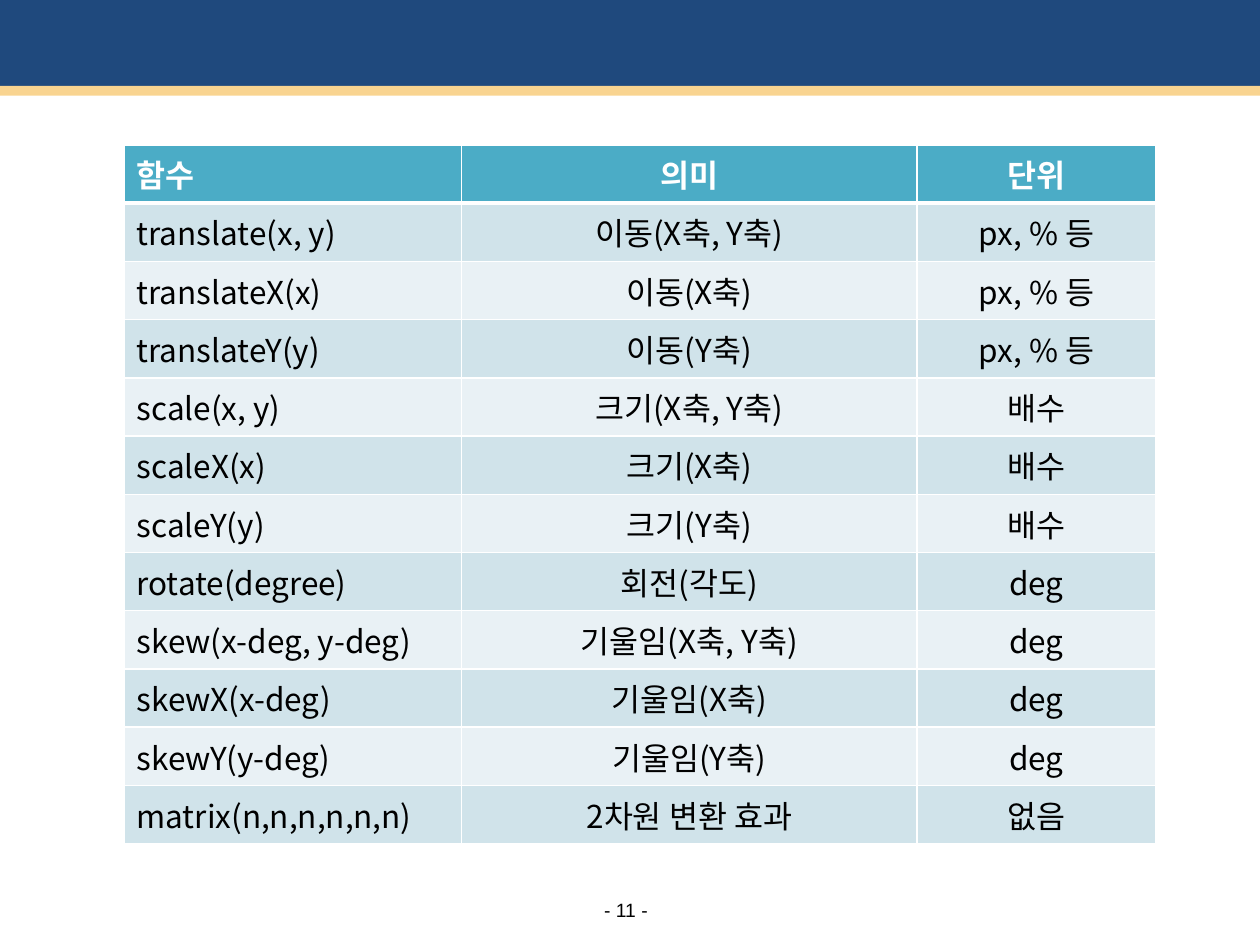
from lxml import etree
from pptx import Presentation
from pptx.dml.color import RGBColor
from pptx.enum.shapes import MSO_SHAPE
from pptx.enum.text import MSO_ANCHOR, PP_ALIGN
from pptx.oxml.ns import qn
from pptx.util import Cm, Pt

LEFT, CENTER = PP_ALIGN.LEFT, PP_ALIGN.CENTER
MIDDLE = MSO_ANCHOR.MIDDLE
RECTANGLE = MSO_SHAPE.RECTANGLE

# Content
PAGE = "- 11 -"
HEADER = ("함수", "의미", "단위")
FUNCTIONS = [
    ("translate(x, y)", "이동(X축, Y축)", "px, % 등"),
    ("translateX(x)", "이동(X축)", "px, % 등"),
    ("translateY(y)", "이동(Y축)", "px, % 등"),
    ("scale(x, y)", "크기(X축, Y축)", "배수"),
    ("scaleX(x)", "크기(X축)", "배수"),
    ("scaleY(y)", "크기(Y축)", "배수"),
    ("rotate(degree)", "회전(각도)", "deg"),
    ("skew(x-deg, y-deg)", "기울임(X축, Y축)", "deg"),
    ("skewX(x-deg)", "기울임(X축)", "deg"),
    ("skewY(y-deg)", "기울임(Y축)", "deg"),
    ("matrix(n,n,n,n,n,n)", "2차원 변환 효과", "없음"),
]

# Format
KOREAN = "Noto Sans CJK KR"
WHITE, BLACK = "FFFFFF", "000000"
HEADER_FILL, BANDS = "4BACC6", ("D0E3EA", "E9F1F5")
BARS = [("1F497D", -0.08, 1.93), ("F9D490", 1.73, 0.2)]  # colour, top, height
COLUMN_WIDTHS = (6.8, 9.19, 4.8)
COLUMN_ALIGNS = (LEFT, CENTER, CENTER)
ROW_HEIGHT = 1.03
PAGE_FRAME = {"margin_left": 0, "margin_right": 0, "margin_top": 0, "margin_bottom": 0,
              "word_wrap": False, "vertical_anchor": MIDDLE}


def rgb(value):
    return RGBColor.from_string(value)


def write(frame, text, align, color, **font):
    paragraph = frame.paragraphs[0]
    paragraph.alignment = align
    run = paragraph.add_run()
    run.text = text
    run.font.color.rgb = rgb(color)
    for key, value in font.items():
        setattr(run.font, key, value)
    east_asian = etree.SubElement(run.font._element, qn("a:ea"))
    east_asian.set("typeface", KOREAN)


def add_borders(cell, widths):
    """Draw white borders; widths are left, right, top, bottom in points."""
    properties = cell._tc.get_or_add_tcPr()
    for index, (side, width) in enumerate(zip("LRTB", widths)):
        line = etree.Element(qn(f"a:ln{side}"), w=str(Pt(width)))
        fill = etree.SubElement(line, qn("a:solidFill"))
        etree.SubElement(fill, qn("a:srgbClr"), val=WHITE)
        properties.insert(index, line)


def add_bars(slide):
    for color, top, height in BARS:
        bar = slide.shapes.add_shape(RECTANGLE, 0, Cm(top), Cm(25.4), Cm(height))
        bar.shadow.inherit = False
        bar.fill.solid()
        bar.fill.fore_color.rgb = rgb(color)
        bar.line.fill.background()


def add_function_table(slide):
    rows = [HEADER, *FUNCTIONS]
    table = slide.shapes.add_table(
        len(rows), len(HEADER), Cm(2.5), Cm(2.92),
        Cm(sum(COLUMN_WIDTHS)), Cm(ROW_HEIGHT * len(rows))).table
    for column, width in zip(table.columns, COLUMN_WIDTHS):
        column.width = Cm(width)
    for r, texts in enumerate(rows):
        table.rows[r].height = Cm(ROW_HEIGHT)
        is_header = r == 0
        for c, text in enumerate(texts):
            cell = table.cell(r, c)
            cell.fill.solid()
            cell.fill.fore_color.rgb = rgb(HEADER_FILL if is_header else BANDS[(r - 1) % 2])
            add_borders(cell, (1, 1, 3 if r == 1 else 1, 3 if is_header else 1))
            write(cell.text_frame, text, COLUMN_ALIGNS[c], WHITE if is_header else BLACK,
                  name=KOREAN, size=Pt(18), bold=is_header)


def add_page_number(slide):
    page = slide.shapes.add_textbox(Cm(12.07), Cm(18.1), Cm(1.1), Cm(0.5))
    for key, value in PAGE_FRAME.items():
        setattr(page.text_frame, key, value)
    write(page.text_frame, PAGE, CENTER, BLACK, name="Arial", size=Pt(11))


def main():
    deck = Presentation()
    deck.slide_width, deck.slide_height = Cm(25.4), Cm(19.05)
    slide = deck.slides.add_slide(deck.slide_layouts[6])  # blank
    add_bars(slide)
    add_function_table(slide)
    add_page_number(slide)
    deck.save("out.pptx")


if __name__ == "__main__":
    main()
